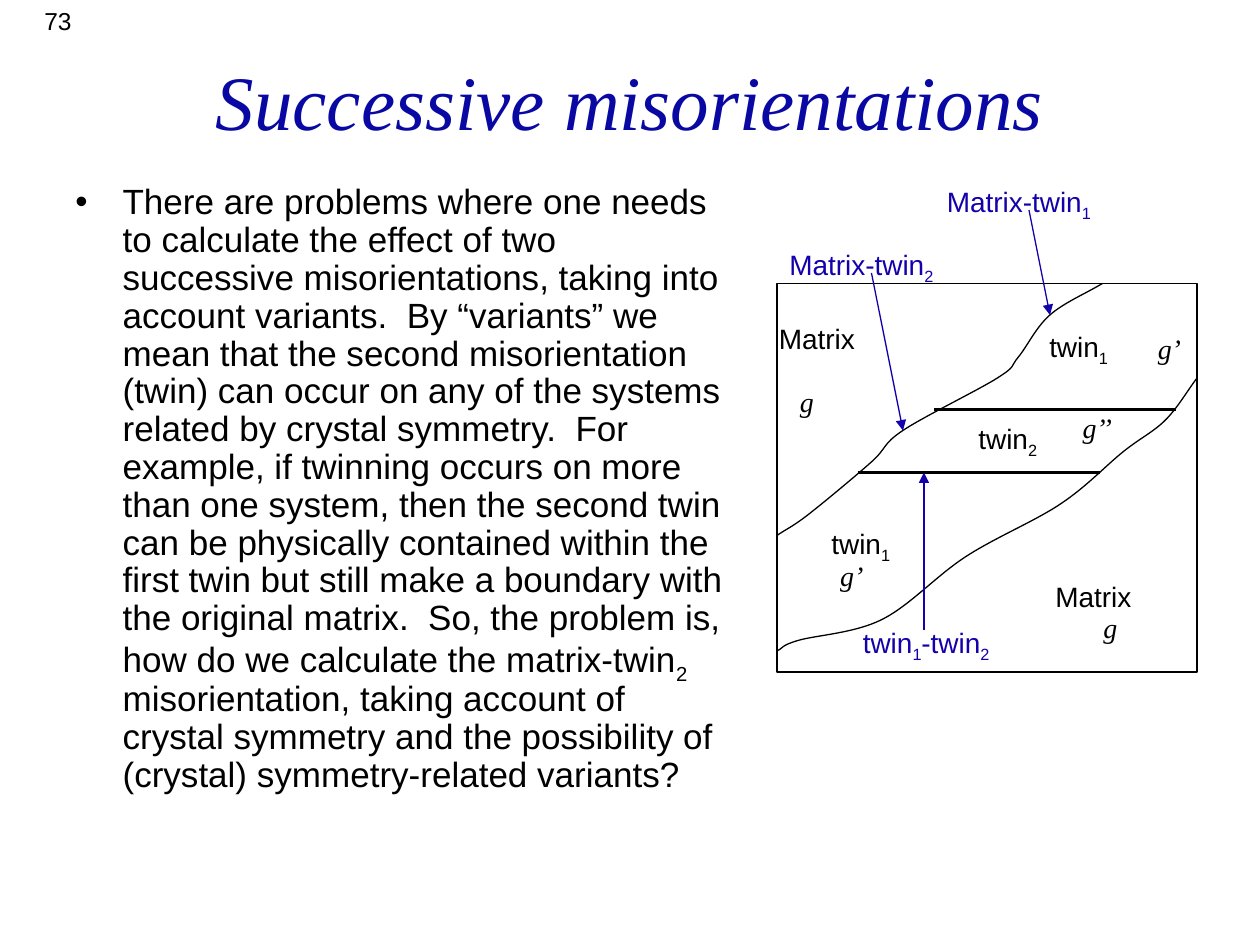
import dataclasses

import lxml.etree
import pptx
import pptx.dml.color
import pptx.enum.shapes
import pptx.enum.text
import pptx.oxml.ns
import pptx.util

Pt = pptx.util.Pt
qn = pptx.oxml.ns.qn


@dataclasses.dataclass(frozen=True)
class Theme:
    sans: str = "Arial"
    serif: str = "Times New Roman"
    ink: str = "000000"
    title_blue: str = "0908A3"
    boundary_blue: str = "1301AB"
    title_size: float = 44
    body_size: float = 20
    label_size: float = 16
    number_size: float = 14
    thin: float = 0.75
    thick: float = 2.25
    label_height: float = 26.4


def rgb(color):
    return pptx.dml.color.RGBColor.from_string(color)


class Painter:
    """Draws styled elements on the current page."""

    def __init__(self, page, theme):
        self.page = page
        self.theme = theme

    def style(self, font, size, color, face, italic=False):
        font.size = Pt(size)
        font.name = face
        font.italic = italic
        font.color.rgb = rgb(color)

    def spans(self, para, text, *look):
        for index, part in enumerate(text.split("|")):
            if part:
                span = para.add_run()
                span.text = part
                self.style(span.font, *look)
                if index % 2:
                    span.font._element.set("baseline", "-25000")

    def outline(self, shape, color, width):
        shape.line.color.rgb = rgb(color)
        shape.line.width = Pt(width)

    def title(self, text, *place):
        box = self.page.shapes.title
        box.left, box.top, box.width, box.height = map(Pt, place)
        frame = box.text_frame
        frame.text = text
        frame.auto_size = pptx.enum.text.MSO_AUTO_SIZE.NONE
        frame.vertical_anchor = pptx.enum.text.MSO_ANCHOR.MIDDLE
        para = frame.paragraphs[0]
        para.alignment = pptx.enum.text.PP_ALIGN.CENTER
        theme = self.theme
        self.style(para.runs[0].font, theme.title_size, theme.title_blue, theme.serif, True)

    def number(self, text, *place):
        frame = self.page.shapes.add_textbox(*map(Pt, place)).text_frame
        frame.word_wrap = True
        frame.text = text
        para = frame.paragraphs[0]
        para.alignment = pptx.enum.text.PP_ALIGN.RIGHT
        self.style(para.runs[0].font, self.theme.number_size, self.theme.ink, self.theme.sans)

    def bullet(self, text, *place):
        frame = self.page.shapes.add_textbox(*map(Pt, place)).text_frame
        frame.word_wrap = True
        para = frame.paragraphs[0]
        para.line_spacing = 0.9
        properties = para._p.get_or_add_pPr()
        properties.set("marL", str(Pt(27)))
        properties.set("indent", str(Pt(-27)))
        lxml.etree.SubElement(properties, qn("a:buFont"), typeface=self.theme.sans)
        lxml.etree.SubElement(properties, qn("a:buChar"), char="•")
        self.spans(para, text, self.theme.body_size, self.theme.ink, self.theme.sans)

    def label(self, text, left, top, width, color, face, italic=False):
        box = self.page.shapes.add_textbox(
            Pt(left), Pt(top), Pt(width), Pt(self.theme.label_height))
        frame = box.text_frame
        frame.word_wrap = False
        frame.auto_size = pptx.enum.text.MSO_AUTO_SIZE.SHAPE_TO_FIT_TEXT
        self.spans(frame.paragraphs[0], text, self.theme.label_size, color, face, italic)

    def frame(self, *place):
        shape = self.page.shapes.add_shape(
            pptx.enum.shapes.MSO_SHAPE.RECTANGLE, *map(Pt, place))
        shape.shadow.inherit = False
        shape.fill.background()
        self.outline(shape, self.theme.ink, self.theme.thin)

    def curve(self, knots):
        def tangent(index):
            before = knots[max(index - 1, 0)]
            after = knots[min(index + 1, len(knots) - 1)]
            inner = 0 < index < len(knots) - 1
            return [(b - a) / (6 if inner else 3) for a, b in zip(before, after)]

        points = []
        for index in range(len(knots) - 1):
            (x1, y1), (x2, y2) = knots[index:index + 2]
            (dx1, dy1), (dx2, dy2) = tangent(index), tangent(index + 1)
            points += [(x1 + dx1, y1 + dy1), (x2 - dx2, y2 - dy2), (x2, y2)]
        builder = self.page.shapes.build_freeform(*map(Pt, knots[0]))
        builder.add_line_segments([(Pt(x), Pt(y)) for x, y in points], close=False)
        shape = builder.convert_to_shape()
        segments = list(shape._element.iter(qn("a:lnTo")))
        for start in range(0, len(segments), 3):
            bezier = lxml.etree.Element(qn("a:cubicBezTo"))
            segments[start].addprevious(bezier)
            for segment in segments[start:start + 3]:
                bezier.append(segment[0])
                segment.getparent().remove(segment)
        shape.shadow.inherit = False
        shape.fill.background()
        self.outline(shape, self.theme.ink, self.theme.thin)

    def line(self, ends, color, width, arrow=False):
        connector = self.page.shapes.add_connector(
            pptx.enum.shapes.MSO_CONNECTOR.STRAIGHT, *map(Pt, ends))
        self.outline(connector, color, width)
        properties = connector._element.spPr
        if arrow:
            lxml.etree.SubElement(properties.find(qn("a:ln")), qn("a:tailEnd"), type="triangle")
        lxml.etree.SubElement(properties, qn("a:effectLst"))


def main():
    theme = Theme()
    deck = pptx.Presentation()
    deck.slide_width, deck.slide_height = Pt(720), Pt(540)
    painter = Painter(deck.slides.add_slide(deck.slide_layouts[5]), theme)

    painter.number("73", 0, 0, 48, 24)
    painter.title("Successive misorientations", 54, 12, 612, 90)
    painter.bullet(
        "There are problems where one needs to calculate the effect of two successive "
        "misorientations, taking into account variants.  By “variants” we mean that the "
        "second misorientation (twin) can occur on any of the systems related by crystal "
        "symmetry.  For example, if twinning occurs on more than one system, then the "
        "second twin can be physically contained within the first twin but still make a "
        "boundary with the original matrix.  So, the problem is, how do we calculate the "
        "matrix-twin|2| misorientation, taking account of crystal symmetry and the "
        "possibility of (crystal) symmetry-related variants?", 36, 102, 390, 366)

    painter.frame(444, 162, 240, 222)
    painter.curve([(630, 162), (600, 180), (582, 204), (570, 216),
                   (516, 246), (498, 264), (462, 294), (444, 306)])
    painter.curve([(684, 216), (666, 240), (642, 258), (606, 288),
                   (552, 318), (504, 354), (456, 366), (444, 372)])
    for ends in [(534, 234, 672, 234), (490.5, 270, 628.5, 270)]:
        painter.line(ends, theme.ink, theme.thick)

    for text, left, top, width in [
            ("twin|2", 552, 237.5, 49), ("twin|1", 592.5, 185, 49),
            ("twin|1", 468, 297.5, 49), ("Matrix", 438, 180, 58.5),
            ("Matrix", 596, 327.5, 58.5)]:
        painter.label(text, left, top, width, theme.ink, theme.sans)
    for text, left, top, width in [
            ("Matrix-twin|1", 534, 102, 98), ("Matrix-twin|2", 444, 138, 98),
            ("twin|1|-twin|2", 486, 354, 89)]:
        painter.label(text, left, top, width, theme.boundary_blue, theme.sans)
    for ends in [(498, 156, 516, 246), (588, 120, 600, 180), (528, 360, 528, 270)]:
        painter.line(ends, theme.boundary_blue, theme.thin, arrow=True)
    for text, left, top, width in [
            ("g", 450, 216, 24.5), ("g’’", 611.5, 231, 34), ("g", 623.5, 345.5, 24.5),
            ("g’", 473, 315.5, 29.5), ("g’", 654.5, 186, 29.5)]:
        painter.label(text, left, top, width, theme.ink, theme.serif, True)

    deck.save("out.pptx")


if __name__ == "__main__":
    main()
